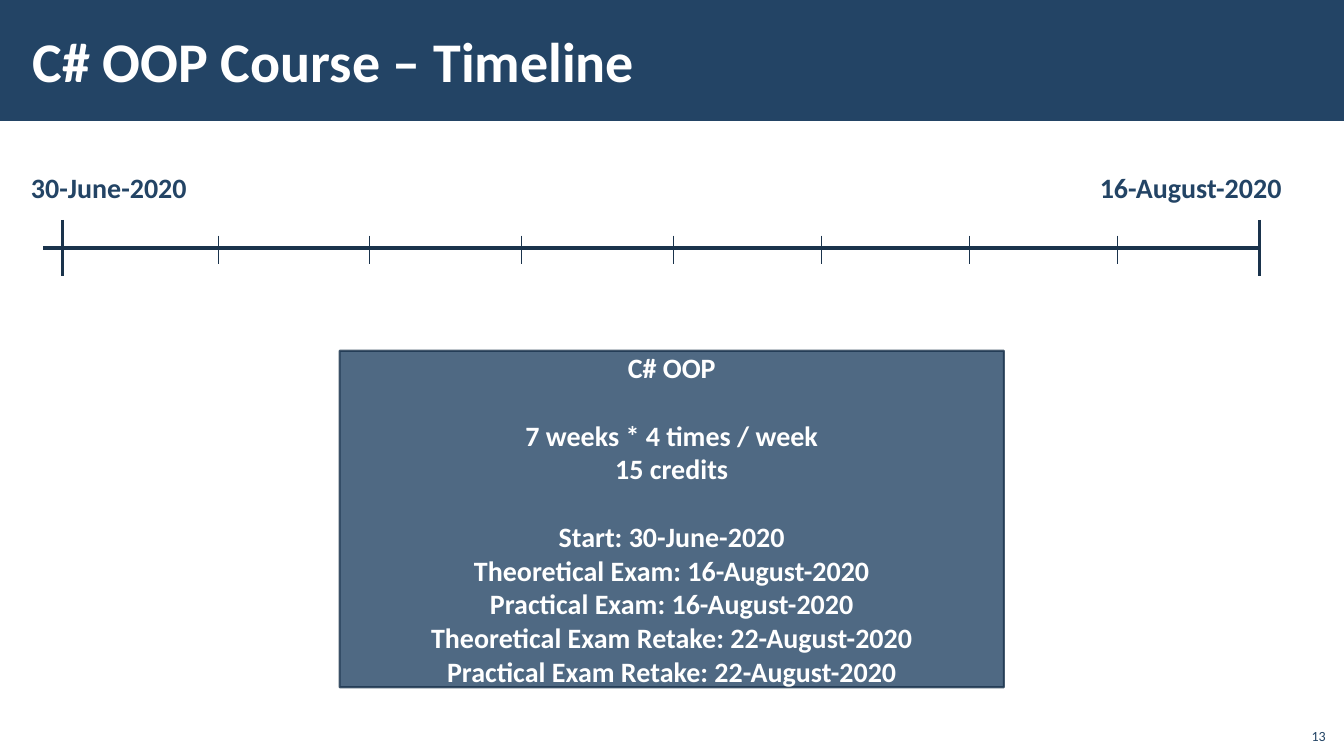
from lxml import etree
from pptx import Presentation
from pptx.dml.color import RGBColor
from pptx.enum.shapes import MSO_CONNECTOR, MSO_SHAPE
from pptx.enum.text import MSO_ANCHOR as Anchor, PP_ALIGN as Align
from pptx.oxml.ns import qn
from pptx.util import Cm, Pt

NAVY, DARK_NAVY, WHITE = "234465", "1A334C", "FFFFFF"


def color(hex_code):
    return RGBColor.from_string(hex_code)


def write(shape, lines, size, hex_code, align=Align.LEFT, anchor=Anchor.TOP, bold=True):
    """Fill a shape with (text, space before) lines."""
    frame = shape.text_frame
    frame.word_wrap = True
    frame.vertical_anchor = anchor
    for i, (text, gap) in enumerate(lines):
        paragraph = frame.add_paragraph() if i else frame.paragraphs[0]
        paragraph.text = text
        paragraph.alignment = align
        if gap:
            paragraph.space_before = Pt(gap)
        paragraph.font.name = "Calibri"
        paragraph.font.size = Pt(size)
        paragraph.font.bold = bold
        paragraph.font.color.rgb = color(hex_code)


prs = Presentation()
prs.slide_width, prs.slide_height = Cm(33.87), Cm(19.05)
slide = prs.slides.add_slide(prs.slide_layouts[6])
shapes = slide.shapes

# Title band
band = shapes.add_shape(MSO_SHAPE.RECTANGLE, 0, 0, prs.slide_width, Cm(3.05))
band.shadow.inherit = False
band.fill.solid()
band.fill.fore_color.rgb = color(NAVY)
band.line.fill.background()

title = shapes.add_textbox(Cm(0.53), Cm(0.28), Cm(27), Cm(2.46))
title.text_frame.margin_left = title.text_frame.margin_right = Cm(0.3)
write(title, [("C# OOP Course – Timeline", 0)], 40, WHITE, anchor=Anchor.MIDDLE)

# Start and end dates
for date, left, align in [
    ("30-June-2020", 0.53, Align.LEFT),
    ("16-August-2020", 27.05, Align.RIGHT),
]:
    date_label = shapes.add_textbox(Cm(left), Cm(4.17), Cm(5.5), Cm(1.12))
    write(date_label, [(date, 0)], 20, NAVY, align)

# Course summary
summary = shapes.add_shape(MSO_SHAPE.RECTANGLE, Cm(8.56), Cm(8.84), Cm(16.74), Cm(8.48))
summary.shadow.inherit = False
summary.fill.solid()
summary.fill.fore_color.rgb = color(NAVY)
summary.line.color.rgb = color(DARK_NAVY)
summary.line.width = Pt(1.5)
for solid_color in summary._element.spPr.iter(qn("a:srgbClr")):
    etree.SubElement(solid_color, qn("a:alpha"), val="80000")

BLANK_LINE = 24.4
write(summary, [
    ("C# OOP", 0),
    ("7 weeks * 4 times / week", BLANK_LINE),
    ("15 credits", 0),
    ("Start: 30-June-2020", BLANK_LINE),
    ("Theoretical Exam: 16-August-2020", 0),
    ("Practical Exam: 16-August-2020", 0),
    ("Theoretical Exam Retake: 22-August-2020", 0),
    ("Practical Exam Retake: 22-August-2020", 0),
], 20, WHITE, Align.CENTER, Anchor.MIDDLE)

# Timeline: axis, end marks and week ticks
AXIS_Y, START_X, END_X = 6.25, 1.57, 31.75
week_xs = [5.51, 9.32, 13.13, 16.97, 20.7, 24.43, 28.17]
timeline = [(1.09, AXIS_Y, END_X, AXIS_Y, 2.25)]
timeline += [(x, AXIS_Y - 0.71, x, AXIS_Y + 0.71, 2.25) for x in (START_X, END_X)]
timeline += [(x, AXIS_Y - 0.31, x, AXIS_Y + 0.4, 0.5) for x in week_xs]
for x1, y1, x2, y2, width in timeline:
    mark = shapes.add_connector(MSO_CONNECTOR.STRAIGHT, Cm(x1), Cm(y1), Cm(x2), Cm(y2))
    mark.line.color.rgb = color(DARK_NAVY)
    mark.line.width = Pt(width)
    etree.SubElement(mark._element.spPr, qn("a:effectLst"))

# Slide number
page_number = shapes.add_textbox(Cm(32.64), Cm(18.08), Cm(1.02), Cm(0.81))
write(page_number, [("13", 0)], 10, NAVY, Align.RIGHT, Anchor.BOTTOM, bold=False)

prs.save("out.pptx")
